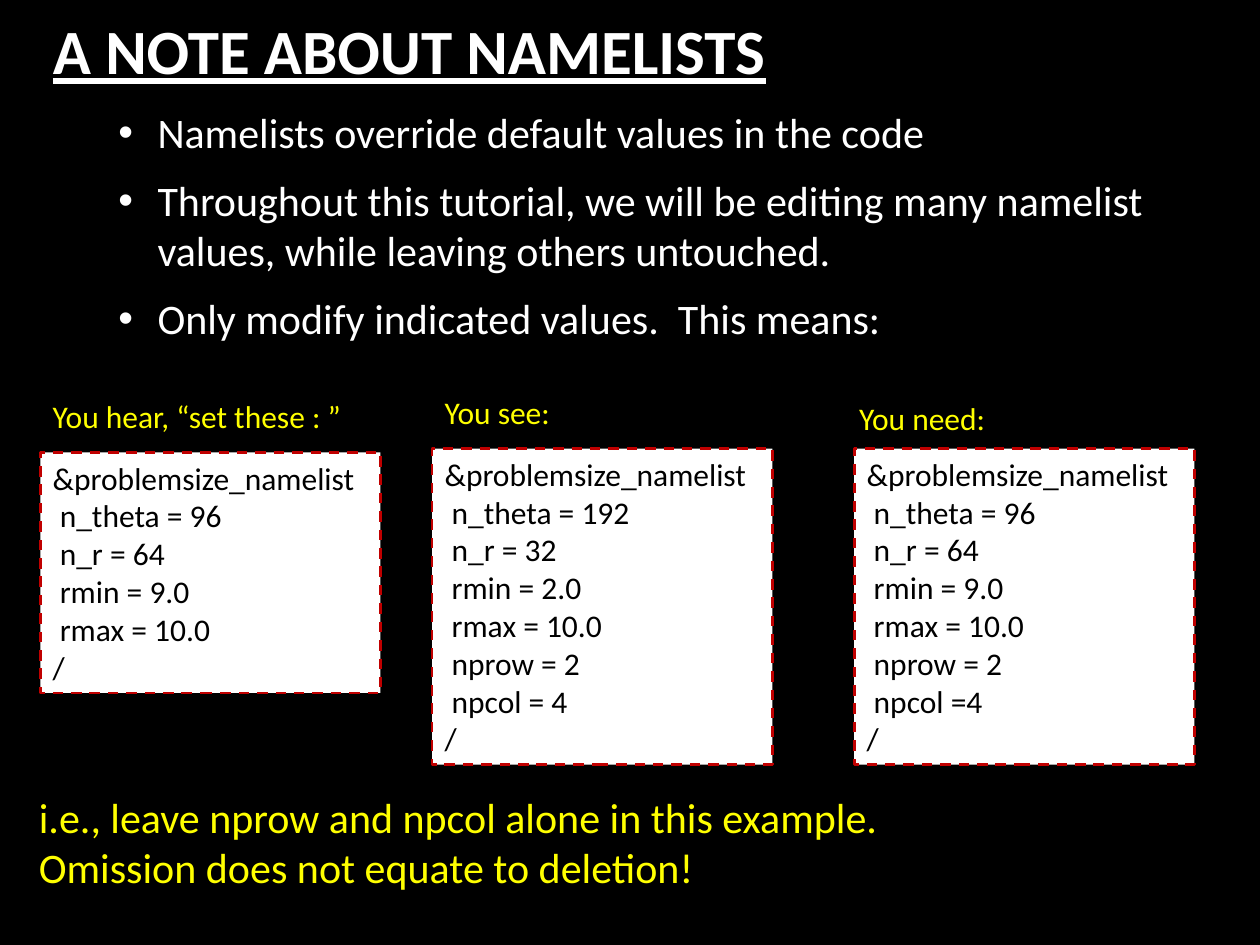
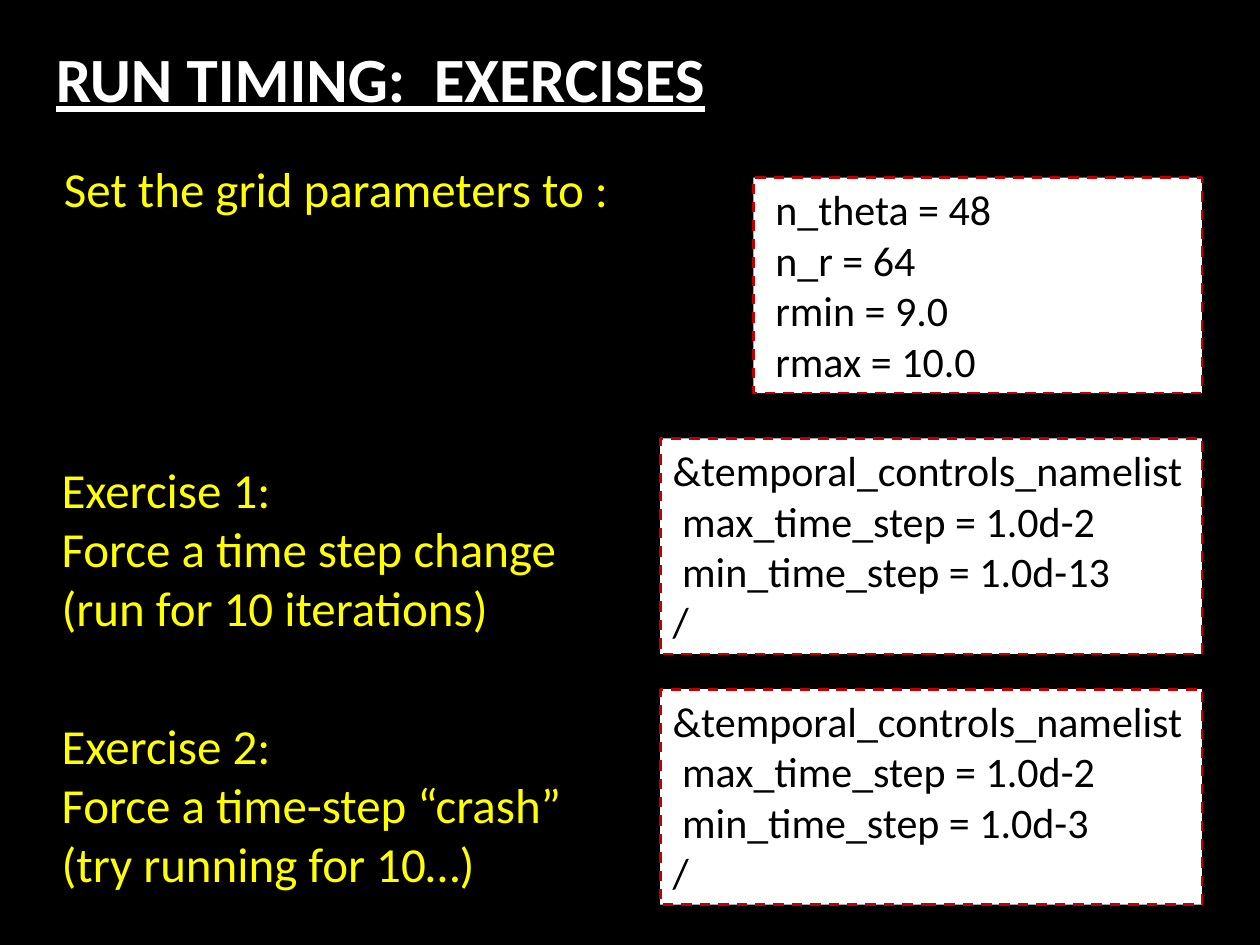
"""Build two tutorial slides about namelists and run timing."""
from dataclasses import dataclass

from lxml.etree import SubElement
from pptx import Presentation
from pptx.dml.color import RGBColor
from pptx.enum.dml import MSO_LINE
from pptx.enum.shapes import MSO_SHAPE
from pptx.enum.text import MSO_ANCHOR, MSO_AUTO_SIZE, PP_ALIGN
from pptx.oxml.ns import qn
from pptx.util import Emu, Pt

PX = 9144
FONT = "Calibri"
BLACK, WHITE, YELLOW, RED = "000000", "FFFFFF", "FFFF00", "C00000"


@dataclass
class Code:
    left: int
    top: int
    width: int
    lines: list[str]
    size: int


@dataclass
class Note:
    left: int
    top: int
    width: int
    lines: list[str]
    size: int
    wrap: bool = False


def px(n: int) -> Emu:
    return Emu(n * PX)


def color(value: str) -> RGBColor:
    return RGBColor.from_string(value)


def text_height(lines: list[str], size: int) -> int:
    return round(len(lines) * size * 5 / 3 + 11)


def place(sp, left: int, top: int, width: int, height: int) -> None:
    sp.left, sp.top, sp.width, sp.height = map(px, (left, top, width, height))


def format_text(tf, size: int, hue: str, align=PP_ALIGN.LEFT) -> None:
    for p in tf.paragraphs:
        p.alignment = align
        for r in p.runs:
            r.font.name = FONT
            r.font.size = Pt(size)
            r.font.color.rgb = color(hue)


def set_title(s, text: str, left: int, top: int, width: int, align) -> None:
    sp = s.shapes.title
    place(sp, left, top, width, 159)
    tf = sp.text_frame
    tf.text = text
    tf.auto_size = MSO_AUTO_SIZE.NONE
    tf.vertical_anchor = MSO_ANCHOR.MIDDLE
    format_text(tf, 36, WHITE, align)
    font = tf.paragraphs[0].runs[0].font
    font.bold = font.underline = True


def add_bullet(p) -> None:
    pPr = p._p.get_or_add_pPr()
    pPr.set("marL", str(px(31)))
    pPr.set("indent", str(px(-31)))
    SubElement(SubElement(pPr, qn("a:buClr")), qn("a:srgbClr"), val=WHITE)
    SubElement(pPr, qn("a:buFont"), typeface="Arial")
    SubElement(pPr, qn("a:buChar"), char="•")


def set_bullets(s, lines: list[str]) -> None:
    sp = s.placeholders[1]
    place(sp, 84, 71, 850, 215)
    tf = sp.text_frame
    tf.text = "\n".join(lines)
    tf.auto_size = MSO_AUTO_SIZE.NONE
    tf.vertical_anchor = MSO_ANCHOR.MIDDLE
    for p in tf.paragraphs:
        add_bullet(p)
        p.space_before, p.space_after = Pt(0), Pt(10)
    format_text(tf, 24, WHITE)


def add_code(s, code: Code) -> None:
    height = text_height(code.lines, code.size)
    sp = s.shapes.add_shape(
        MSO_SHAPE.RECTANGLE, *map(px, (code.left, code.top, code.width, height))
    )
    sp.shadow.inherit = False
    sp.fill.solid()
    sp.fill.fore_color.rgb = color(WHITE)
    sp.line.color.rgb = color(RED)
    sp.line.width = Pt(1.5)
    sp.line.dash_style = MSO_LINE.DASH
    tf = sp.text_frame
    tf.text = "\n".join(code.lines)
    tf.word_wrap = True
    tf.vertical_anchor = MSO_ANCHOR.TOP
    format_text(tf, code.size, BLACK)


def add_note(s, note: Note) -> None:
    height = text_height(note.lines, note.size)
    sp = s.shapes.add_textbox(*map(px, (note.left, note.top, note.width, height)))
    tf = sp.text_frame
    tf.text = "\n".join(note.lines)
    tf.word_wrap = note.wrap
    format_text(tf, note.size, YELLOW)


def indent(*entries: str) -> list[str]:
    return [f" {entry}" for entry in entries]


def namelist(name: str, *entries: str) -> list[str]:
    return [f"&{name}_namelist", *indent(*entries), "/"]


def problem_size(*entries: str) -> list[str]:
    return namelist("problemsize", *entries)


def time_steps(smallest: str) -> list[str]:
    return namelist(
        "temporal_controls", "max_time_step = 1.0d-2", f"min_time_step = {smallest}"
    )


def add_items(s, codes: list[Code], notes: list[Note]) -> None:
    for code in codes:
        add_code(s, code)
    for note in notes:
        add_note(s, note)


def build_namelists(prs) -> None:
    s = prs.slides.add_slide(prs.slide_layouts[1])
    set_title(s, "A NOTE ABOUT NAMELISTS", 32, -40, 949, PP_ALIGN.LEFT)
    set_bullets(s, [
        "Namelists override default values in the code",
        "Throughout this tutorial, we will be editing many namelist values, "
        "while leaving others untouched.",
        "Only modify indicated values.  This means:",
    ])
    wanted = ["n_theta = 96", "n_r = 64", "rmin = 9.0", "rmax = 10.0"]
    current = ["n_theta = 192", "n_r = 32", "rmin = 2.0", "rmax = 10.0"]
    codes = [
        Code(32, 359, 270, problem_size(*wanted), 18),
        Code(343, 356, 270, problem_size(*current, "nprow = 2", "npcol = 4"), 18),
        Code(678, 356, 270, problem_size(*wanted, "nprow = 2", "npcol =4"), 18),
    ]
    notes = [
        Note(32, 310, 252, ["You hear, “set these : ”"], 18),
        Note(343, 307, 105, ["You see:"], 18),
        Note(672, 312, 122, ["You need:"], 18),
        Note(21, 623, 692, [
            "i.e., leave nprow and npcol alone in this example.",
            "Omission does not equate to deletion!",
        ], 24),
    ]
    add_items(s, codes, notes)


def build_exercises(prs) -> None:
    s = prs.slides.add_slide(prs.slide_layouts[5])
    set_title(s, "RUN TIMING:  EXERCISES", -122, -18, 848, PP_ALIGN.CENTER)
    grid = indent("n_theta = 48", "n_r = 64", "rmin = 9.0", "rmax = 10.0")
    codes = [
        Code(598, 141, 356, grid, 24),
        Code(524, 348, 430, time_steps("1.0d-13"), 24),
        Code(524, 547, 430, time_steps("1.0d-3"), 24),
    ]
    notes = [
        Note(41, 121, 457, ["Set the grid parameters to :"], 28),
        Note(39, 360, 425, [
            "Exercise 1:", "Force a time step change", "(run for 10 iterations)",
        ], 28, wrap=True),
        Note(39, 563, 422, [
            "Exercise 2:", "Force a time-step “crash”", "(try running for 10…)",
        ], 28),
    ]
    add_items(s, codes, notes)


def main() -> None:
    prs = Presentation()
    prs.slide_width, prs.slide_height = px(1000), px(750)
    fill = prs.slide_master.background.fill
    fill.solid()
    fill.fore_color.rgb = color(BLACK)
    build_namelists(prs)
    build_exercises(prs)
    prs.save("out.pptx")


if __name__ == "__main__":
    main()
